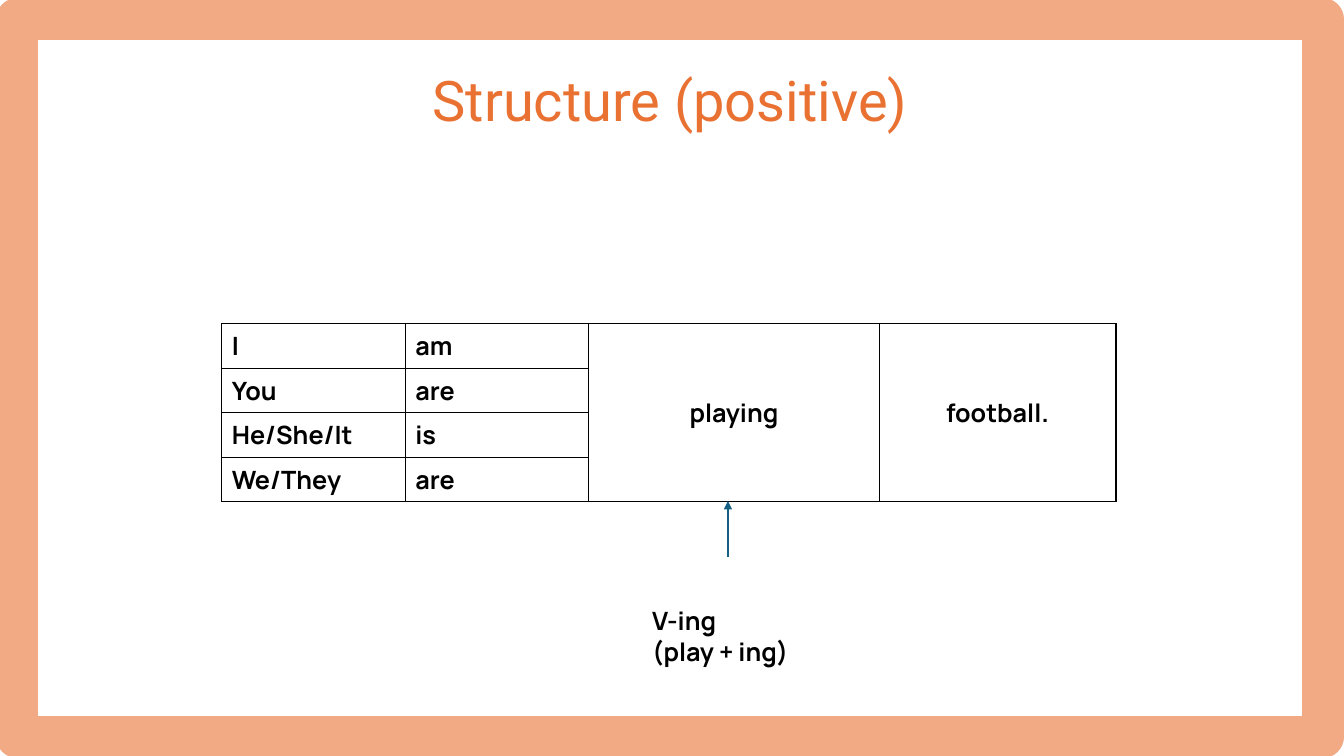
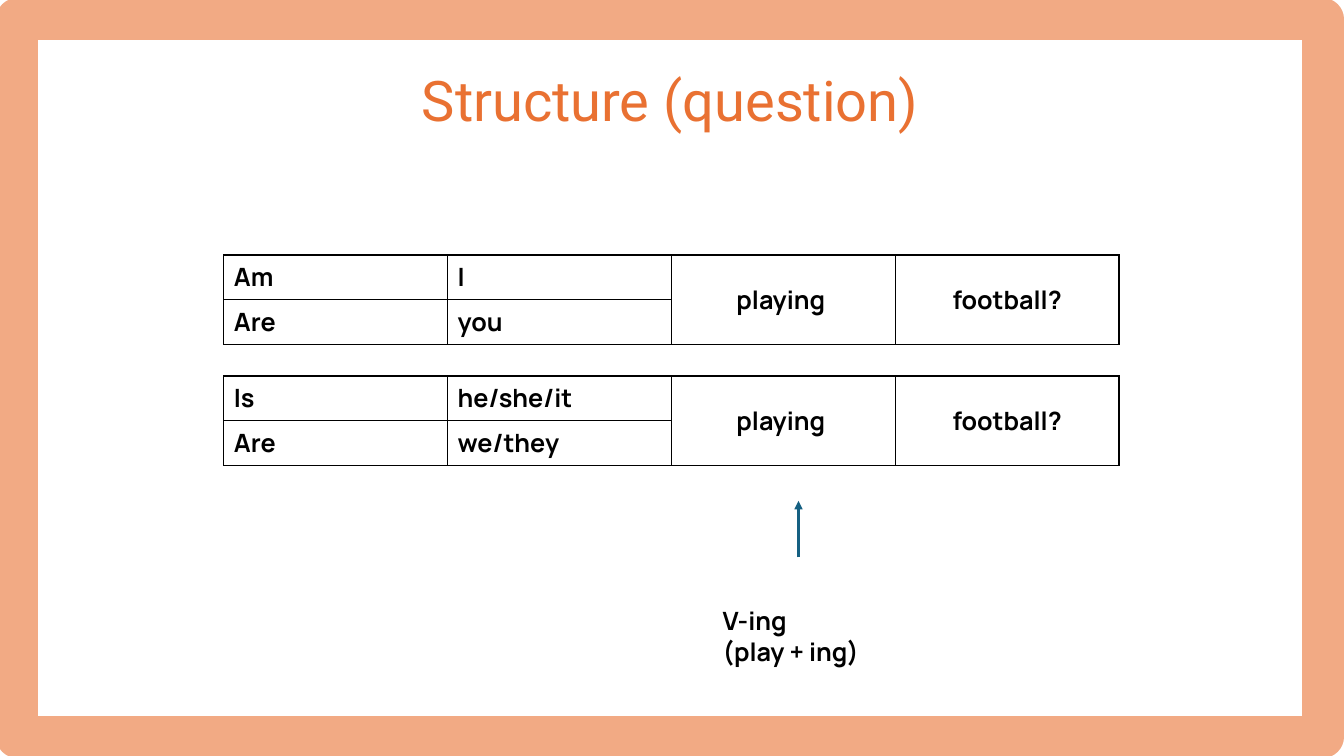
import pptx
import pptx.util
import pptx.dml.color
import pptx.enum.text
import pptx.enum.shapes
import pptx.oxml
import pptx.oxml.ns

Inches = pptx.util.Inches
Pt = pptx.util.Pt
PP_ALIGN = pptx.enum.text.PP_ALIGN
MSO_ANCHOR = pptx.enum.text.MSO_ANCHOR

FRAME, TITLE, ARROW, INK, PAPER = "F2AA84", "E97132", "156082", "000000", "FFFFFF"
TITLE_FONT, BODY_FONT = "Roboto", "Manrope"
FRAME_BOX = (0.17, 0.19, 12.95, 7.12)
TITLE_BOX = (1.71, 0.6, 9.87, 0.77)
ROW_H = 0.41
CAPTION = ["V-ing", "(play + ing)"]


def rgb(value):
    return pptx.dml.color.RGBColor.from_string(value)


def add_xml(parent, tag, body="", attrs=""):
    ns = pptx.oxml.ns.nsdecls("a")
    parent.append(pptx.oxml.parse_xml(f"<a:{tag} {ns} {attrs}>{body}</a:{tag}>"))


def write(tf, lines, size=18, font=BODY_FONT, color=INK, bold=True, align=PP_ALIGN.LEFT):
    for i, line in enumerate(lines):
        p = tf.add_paragraph() if i else tf.paragraphs[0]
        p.alignment = align
        r = p.add_run()
        r.text = line
        r.font.size, r.font.name, r.font.bold = Pt(size), font, bold
        r.font.color.rgb = rgb(color)


def add_frame(s, box):
    sp = s.shapes.add_shape(pptx.enum.shapes.MSO_SHAPE.RECTANGLE, *map(Inches, box))
    sp.shadow.inherit = False
    sp.fill.background()
    sp.line.color.rgb = rgb(FRAME)
    sp.line.width = Pt(30)


def add_title(s, text, box):
    sp = s.shapes.title
    sp.left, sp.top, sp.width, sp.height = map(Inches, box)
    tf = sp.text_frame
    tf.auto_size = pptx.enum.text.MSO_AUTO_SIZE.NONE
    tf.vertical_anchor = MSO_ANCHOR.TOP
    write(tf, [text], size=40, font=TITLE_FONT, color=TITLE, bold=False,
          align=PP_ALIGN.CENTER)


def format_cell(cell):
    tc_pr = cell._tc.get_or_add_tcPr()
    line = f'<a:solidFill><a:srgbClr val="{INK}"/></a:solidFill>'
    for side in "LRTB":
        add_xml(tc_pr, f"ln{side}", line, f'w="{Pt(1)}"')
    cell.fill.solid()
    cell.fill.fore_color.rgb = rgb(PAPER)


def add_grammar_table(s, left, top, widths, pairs, shared):
    n = len(pairs)
    gf = s.shapes.add_table(n, len(widths), Inches(left), Inches(top),
                            Inches(sum(widths)), Inches(n * ROW_H))
    table = gf.table
    table.first_row = table.horz_banding = False
    for col, width in zip(table.columns, widths):
        col.width = Inches(width)
    for row in table.rows:
        row.height = Inches(ROW_H)
    for cell in table.iter_cells():
        format_cell(cell)
    for i, pair in enumerate(pairs):
        for j, text in enumerate(pair):
            write(table.cell(i, j).text_frame, [text])
    for j, text in enumerate(shared, start=2):
        cell = table.cell(0, j)
        cell.merge(table.cell(n - 1, j))
        cell.vertical_anchor = MSO_ANCHOR.MIDDLE
        write(cell.text_frame, [text], align=PP_ALIGN.CENTER)


def add_verb_note(s, x, top):
    line = s.shapes.add_connector(pptx.enum.shapes.MSO_CONNECTOR.STRAIGHT, Inches(x),
                                  Inches(top + 0.56), Inches(x), Inches(top))
    line.line.color.rgb = rgb(ARROW)
    line.line.width = Pt(1.5)
    add_xml(line.line._get_or_add_ln(), "tailEnd", attrs='type="triangle"')
    add_xml(line._element.spPr, "effectLst")
    sp = s.shapes.add_textbox(Inches(x - 0.85), Inches(top + 0.99), Inches(1.7), Inches(0.71))
    sp.text_frame.word_wrap = True
    write(sp.text_frame, CAPTION)


def add_structure_slide(prs, title, left, widths, tables, shared, arrow_x):
    s = prs.slides.add_slide(prs.slide_layouts[5])
    add_frame(s, FRAME_BOX)
    add_title(s, title, TITLE_BOX)
    for top, pairs in tables:
        add_grammar_table(s, left, top, widths, pairs, shared)
    add_verb_note(s, arrow_x, 4.97)


def main():
    prs = pptx.Presentation()
    prs.slide_width, prs.slide_height = Inches(13.33), Inches(7.5)
    add_structure_slide(
        prs, "Structure (positive)", 2.2, [1.82, 1.82, 2.88, 2.35],
        [(3.21, [("I", "am"), ("You", "are"), ("He/She/It", "is"), ("We/They", "are")])],
        ["playing", "football."], 7.22)
    add_structure_slide(
        prs, "Structure (question)", 2.22, [2.22] * 4,
        [(2.53, [("Am", "I"), ("Are", "you")]),
         (3.73, [("Is", "he/she/it"), ("Are", "we/they")])],
        ["playing ", "football?"], 7.92)
    prs.save("out.pptx")


if __name__ == "__main__":
    main()
